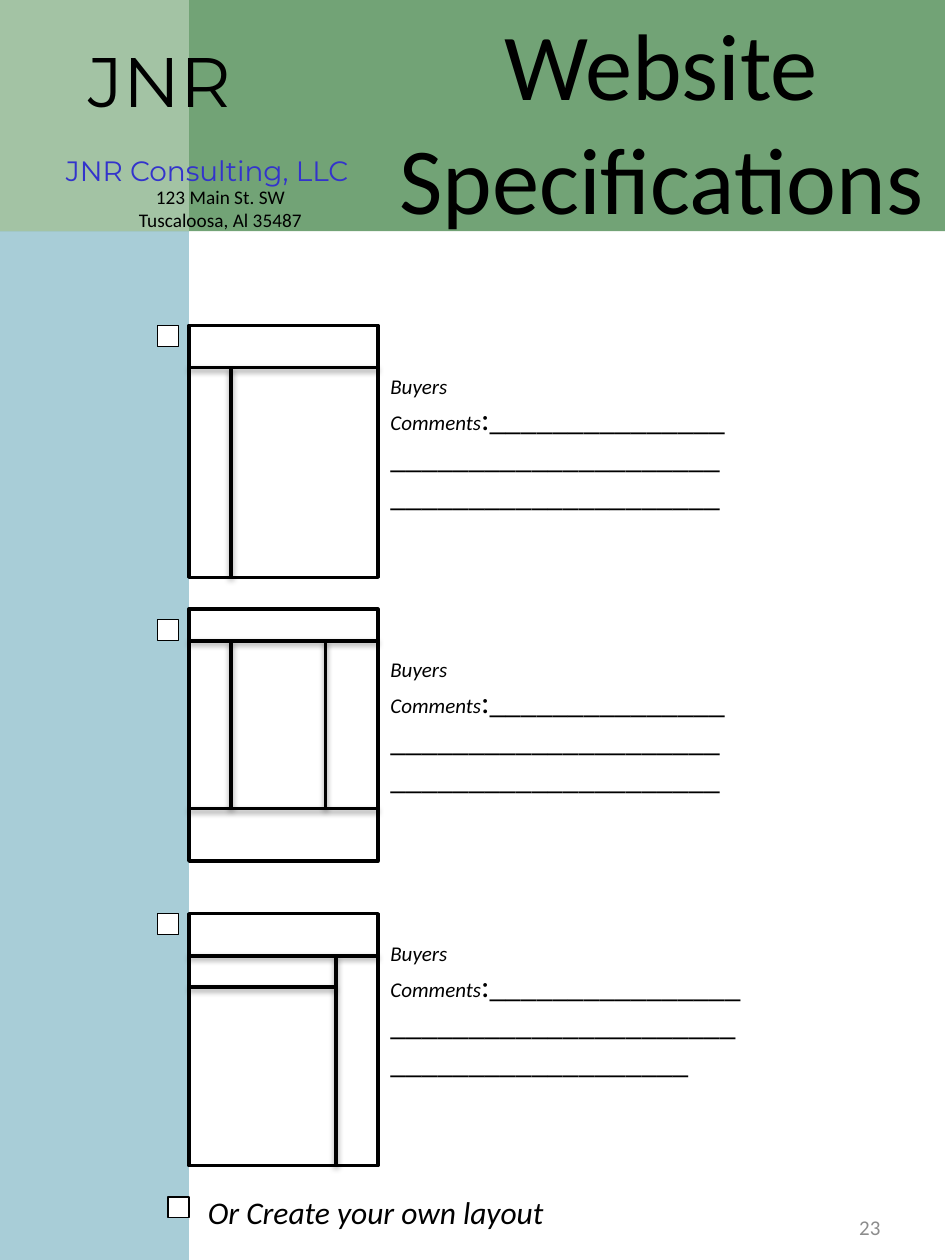
from dataclasses import dataclass

from lxml import etree
from pptx import Presentation
from pptx.dml.color import RGBColor
from pptx.enum.shapes import MSO_CONNECTOR, MSO_SHAPE
from pptx.enum.text import MSO_ANCHOR, PP_ALIGN
from pptx.oxml import parse_xml
from pptx.oxml.ns import nsdecls, qn
from pptx.util import Cm, Pt

RECTANGLE = MSO_SHAPE.RECTANGLE
STRAIGHT = MSO_CONNECTOR.STRAIGHT
LEFT, CENTER, RIGHT = PP_ALIGN.LEFT, PP_ALIGN.CENTER, PP_ALIGN.RIGHT
TOP, MIDDLE = MSO_ANCHOR.TOP, MSO_ANCHOR.MIDDLE


@dataclass(frozen=True)
class Theme:
    black: str = "000000"
    white: str = "FFFFFF"
    green: str = "72A376"
    pale_green: str = "B0CCB0"
    blue: str = "A8CDD7"
    company: str = "3333CC"
    gray: str = "8C8C8C"
    body_font: str = "Calibri"
    brand_font: str = "Montserrat"
    title_size: int = 54
    initials_size: int = 40
    body_size: int = 18
    company_size: int = 16
    small_size: int = 12
    address_size: int = 11


theme = Theme()
deck = Presentation()
deck.slide_width, deck.slide_height = Cm(19.05), Cm(25.4)
page = deck.slides.add_slide(deck.slide_layouts[6])


def add_rectangle(left, top, width, height, fill, line_width=None):
    box = page.shapes.add_shape(RECTANGLE, Cm(left), Cm(top), Cm(width), Cm(height))
    box.shadow.inherit = False
    box.fill.solid()
    box.fill.fore_color.rgb = RGBColor.from_string(fill)
    if line_width is None:
        box.line.fill.background()
    else:
        box.line.color.rgb = RGBColor.from_string(theme.black)
        box.line.width = Pt(line_width)
    return box


def add_text(left, top, width, height, lines, size, align=LEFT, font=theme.body_font,
             color=theme.black, italic=None, wrap=True, anchor=TOP):
    """Each line is a list of (text, size, italic) spans or one plain string."""
    frame = page.shapes.add_textbox(Cm(left), Cm(top), Cm(width), Cm(height)).text_frame
    frame.word_wrap = wrap
    frame.vertical_anchor = anchor
    for index, line in enumerate(lines):
        para = frame.paragraphs[0] if index == 0 else frame.add_paragraph()
        para.alignment = align
        para.font.name = font
        para.font.size = Pt(size)
        para.font.italic = italic
        para.font.color.rgb = RGBColor.from_string(color)
        if isinstance(line, str):
            para.add_run().text = line
            continue
        for text, span_size, span_italic in line:
            span = para.add_run()
            span.text = text
            span.font.size = Pt(span_size)
            span.font.italic = span_italic
    return frame


# Background bands
add_rectangle(0, 1.69, 3.81, 23.71, theme.blue)
add_rectangle(0, 0, 19.05, 4.66, theme.green)
corner = add_rectangle(0, 0, 3.81, 4.66, theme.pale_green)
corner_color = corner.fill._xPr.find(qn("a:solidFill"))[0]
etree.SubElement(corner_color, qn("a:alpha"), val="80000")

# Letterhead and title
add_text(1.17, 0.64, 4.11, 1.96, ["JNR"], theme.initials_size, CENTER,
         theme.brand_font, wrap=False)
add_text(1.07, 2.97, 6.22, 0.79, ["JNR Consulting, LLC"], theme.company_size, CENTER,
         theme.brand_font, theme.company, wrap=False)
add_text(0, 3.61, 8.89, 1.19, ["123 Main St. SW", "Tuscaloosa, Al 35487"],
         theme.address_size, CENTER)
add_text(7.62, 0, 11.43, 4.88, ["Website Specifications"], theme.title_size, CENTER)

# Layout choices: frame top, checkbox top, comment top and width,
# then divider lines (x1, y1, x2, y2) measured from the frame's corner
frame_left, frame_width, frame_height = 3.81, 3.81, 5.08
checkbox_size = 0.42
choices = [
    (6.56, 6.56, 7.41, 7.41,
     [(0, 0.85, frame_width, 0.85), (0.85, frame_height, 0.85, 0.85)]),
    (12.28, 12.49, 13.12, 7.41,
     [(0, 0.64, frame_width, 0.64), (0, 4.02, frame_width, 4.02),
      (0.85, 4.02, 0.85, 0.64), (2.75, 4.02, 2.75, 0.64)]),
    (18.42, 18.42, 18.84, 7.62,
     [(0, 0.85, frame_width, 0.85), (0, 1.48, 2.96, 1.48),
      (2.96, frame_height, 2.96, 0.85)]),
]
comment = [("Buyers Comments", theme.small_size, True),
           (":" + "_" * 57, theme.body_size, False)]
line_shadow = (
    f'<a:effectLst {nsdecls("a")}><a:outerShdw blurRad="40000" dist="20000" '
    f'dir="5400000" rotWithShape="0"><a:srgbClr val="{theme.black}">'
    '<a:alpha val="38000"/></a:srgbClr></a:outerShdw></a:effectLst>')

for frame_top, checkbox_top, comment_top, comment_width, dividers in choices:
    add_rectangle(3.18, checkbox_top, checkbox_size, checkbox_size, theme.white, 0.75)
    add_rectangle(frame_left, frame_top, frame_width, frame_height, theme.white, 2)
    for x1, y1, x2, y2 in dividers:
        divider = page.shapes.add_connector(
            STRAIGHT, Cm(frame_left + x1), Cm(frame_top + y1),
            Cm(frame_left + x2), Cm(frame_top + y2))
        divider.line.color.rgb = RGBColor.from_string(theme.black)
        divider.line.width = Pt(2)
        divider._element.spPr.append(parse_xml(line_shadow))
    add_text(7.62, comment_top, comment_width, 3.07, [comment], theme.body_size)

# Own layout choice
add_rectangle(3.39, 24.13, checkbox_size, checkbox_size, theme.white, 0.75)
own_layout = add_text(3.81, 23.92, 12.06, 1.02, ["Or Create your own layout"],
                      theme.body_size, italic=True)
own_layout.margin_left = Cm(0.38)

# Page number
add_text(13.55, 24.06, 4.45, 1.35, ["23"], theme.small_size, RIGHT,
         color=theme.gray, anchor=MIDDLE)

deck.save("out.pptx")
